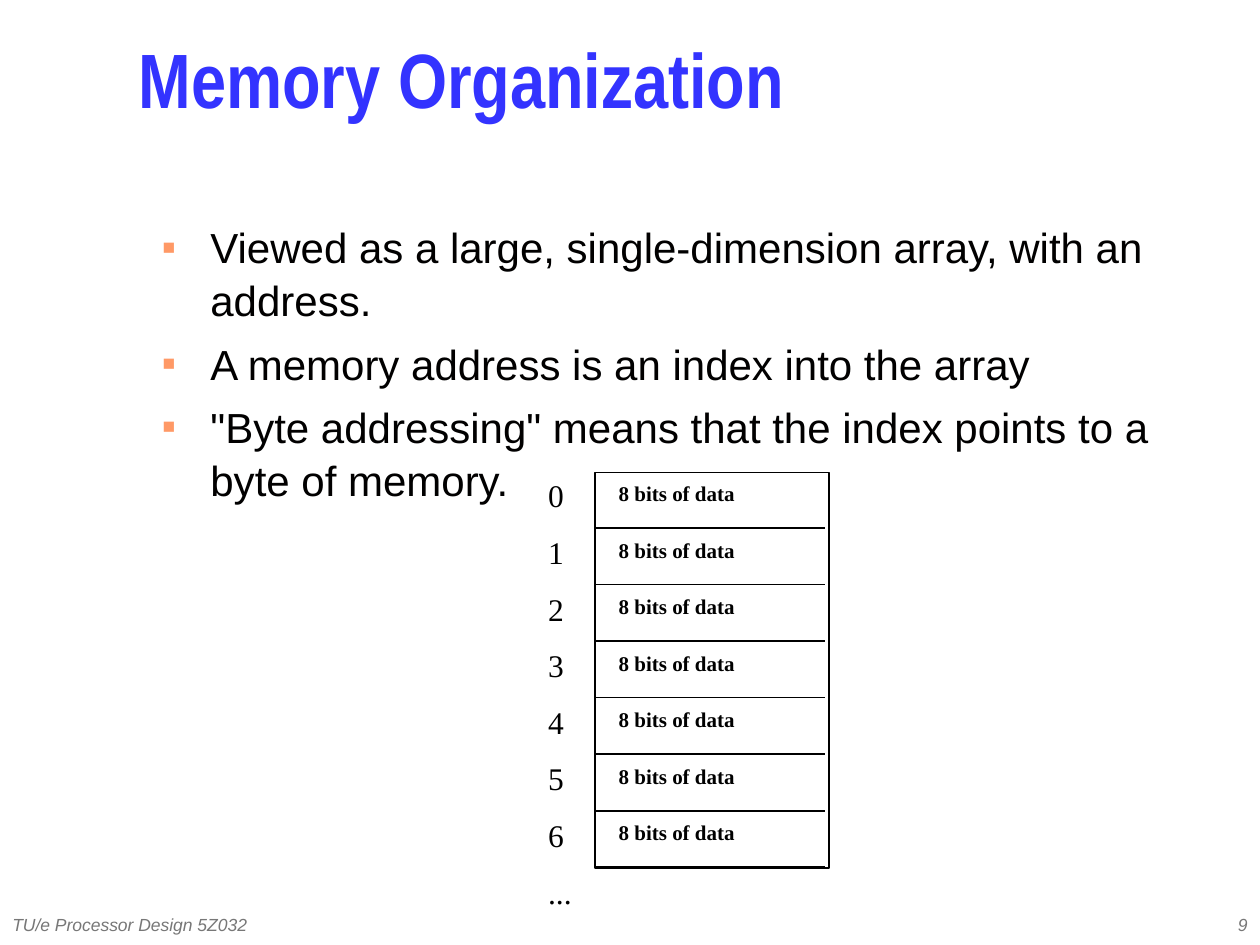
from lxml.etree import SubElement
from pptx import Presentation
from pptx.dml.color import RGBColor
from pptx.enum.shapes import MSO_CONNECTOR, MSO_SHAPE
from pptx.enum.text import MSO_ANCHOR, MSO_AUTO_SIZE, PP_ALIGN
from pptx.oxml.ns import qn
from pptx.util import Inches, Pt

COLORS = {
    "title": "3333FF",
    "body": "010000",
    "bullet": "FF9966",
    "ink": "000000",
    "paper": "FFFFFF",
    "footer": "777777",
}


def color(name):
    return RGBColor.from_string(COLORS[name])


def write(para, text, font="Arial", size=24, ink="ink", bold=False, italic=False,
          align=PP_ALIGN.LEFT, spacing=None, before=0):
    para.text = text
    para.alignment = align
    para.line_spacing = spacing
    para.space_before = Pt(before)
    para.font.name = font
    para.font.size = Pt(size)
    para.font.bold = bold
    para.font.italic = italic
    para.font.color.rgb = color(ink)


def add_bullet(para, indent):
    """Give the paragraph a small coloured square with a hanging indent."""
    properties = para._p.get_or_add_pPr()
    properties.set("marL", str(indent))
    properties.set("indent", str(-indent))
    tint = SubElement(properties, qn("a:buClr"))
    SubElement(tint, qn("a:srgbClr"), val=COLORS["bullet"])
    SubElement(properties, qn("a:buSzPct"), val="50000")
    SubElement(properties, qn("a:buFont"), typeface="Arial")
    SubElement(properties, qn("a:buChar"), char="■")


class SlideBuilder:
    """Holds the current slide and the style of its elements."""

    def __init__(self, page):
        self.page = page

    def place(self, shape, left, top, width, height):
        shape.left, shape.top = Inches(left), Inches(top)
        shape.width, shape.height = Inches(width), Inches(height)
        shape.text_frame.auto_size = MSO_AUTO_SIZE.NONE

    def title(self, text, *bounds):
        shape = self.page.shapes.title
        self.place(shape, *bounds)
        shape.text_frame.vertical_anchor = MSO_ANCHOR.MIDDLE
        write(shape.text_frame.paragraphs[0], text, font="Arial Narrow", size=44,
              ink="title", bold=True, spacing=0.7)

    def bullets(self, items, *bounds):
        shape = self.page.placeholders[1]
        self.place(shape, *bounds)
        frame = shape.text_frame
        for index, item in enumerate(items):
            para = frame.add_paragraph() if index else frame.paragraphs[0]
            add_bullet(para, Inches(0.38))
            write(para, item, ink="body", spacing=1.05, before=6 if index else 0)

    def text(self, text, left, top, width, height, margins=(0.02, 0.03),
             anchor=MSO_ANCHOR.TOP, **style):
        box = self.page.shapes.add_textbox(
            Inches(left), Inches(top), Inches(width), Inches(height))
        frame = box.text_frame
        frame.word_wrap = True
        frame.vertical_anchor = anchor
        frame.margin_left = frame.margin_right = Inches(margins[0])
        frame.margin_top = frame.margin_bottom = Inches(margins[1])
        write(frame.paragraphs[0], text, **style)

    def footer(self, text, left, width, align):
        self.text(text, left, 7.17, width, 0.33, margins=(0.1, 0.05),
                  anchor=MSO_ANCHOR.MIDDLE, size=10, ink="footer", italic=True,
                  align=align)

    def frame(self, left, top, width, height):
        shape = self.page.shapes.add_shape(
            MSO_SHAPE.RECTANGLE, Inches(left), Inches(top), Inches(width), Inches(height))
        shape.shadow.inherit = False
        shape.fill.solid()
        shape.fill.fore_color.rgb = color("paper")
        shape.line.color.rgb = color("ink")
        shape.line.width = Pt(1)

    def rule(self, left, right, y):
        line = self.page.shapes.add_connector(
            MSO_CONNECTOR.STRAIGHT, Inches(left), Inches(y), Inches(right), Inches(y))
        line.line.color.rgb = color("ink")
        line.line.width = Pt(1)
        SubElement(line._element.spPr, qn("a:effectLst"))

    def memory(self, cells, left=4.72, top=3.75, pitch=0.449):
        """Draw a column of byte cells with their addresses on the left."""
        self.frame(left, top, 1.86, 3.14)
        for index in range(cells):
            self.rule(left, 6.55, 4.19 + index * pitch)
        for index, address in enumerate([*range(cells), "..."]):
            self.text(str(address), 4.33, top + 0.01 + index * pitch, 0.83, 0.52,
                      font="Times New Roman", size=18, spacing=Pt(21))
        for index in range(cells):
            self.text("8 bits of data", 4.89, top + 0.04 + index * pitch, 2.11, 0.4,
                      font="Times New Roman", size=12, bold=True, spacing=Pt(14))


def main():
    deck = Presentation()
    deck.slide_width, deck.slide_height = Inches(10), Inches(7.5)
    builder = SlideBuilder(deck.slides.add_slide(deck.slide_layouts[1]))
    builder.title("Memory Organization", 1, 0.17, 8.58, 1.08)
    builder.bullets([
        "Viewed as a large, single-dimension array, with an address.",
        "A memory address is an index into the array",
        '"Byte addressing" means that the index points to a byte of memory.',
    ], 1.19, 1.69, 8.21, 4.79)
    builder.memory(cells=7)
    builder.footer("TU/e Processor Design 5Z032", 0, 3.17, PP_ALIGN.LEFT)
    builder.footer("9", 7.92, 2.08, PP_ALIGN.RIGHT)
    deck.save("out.pptx")


if __name__ == "__main__":
    main()
